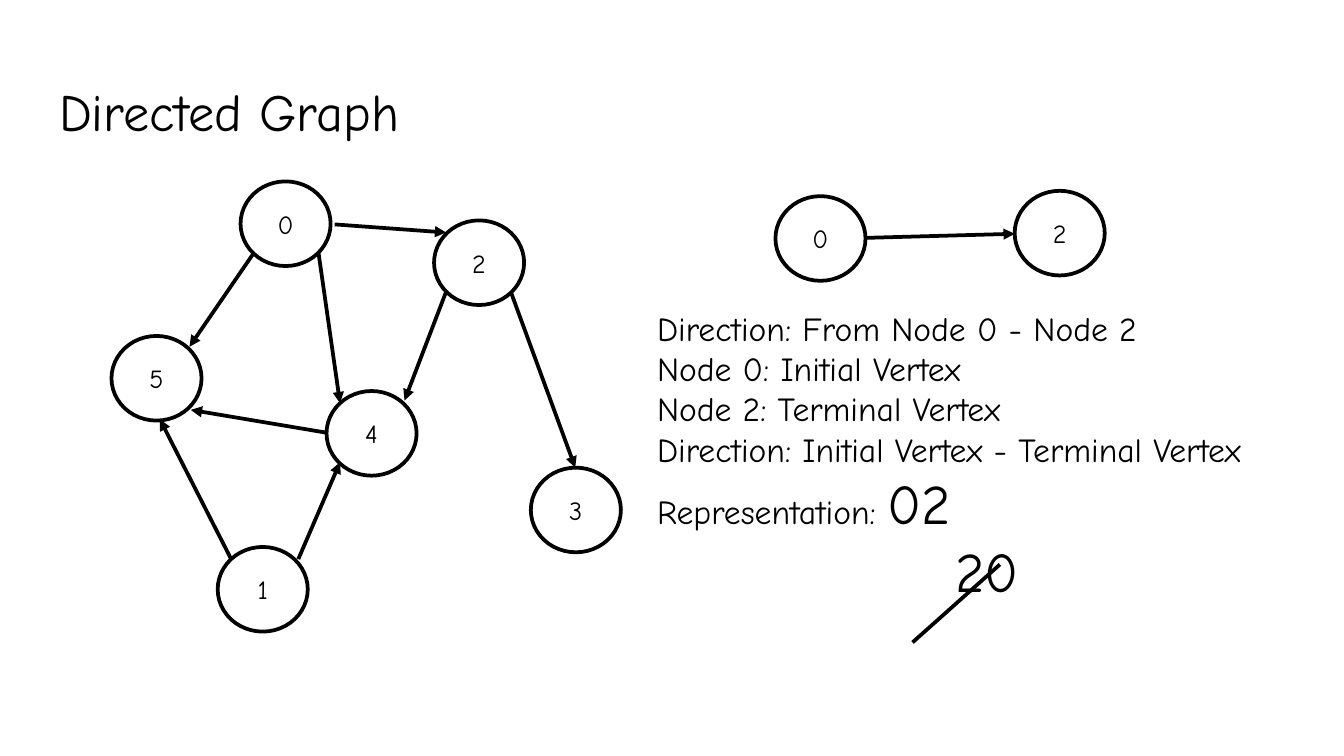
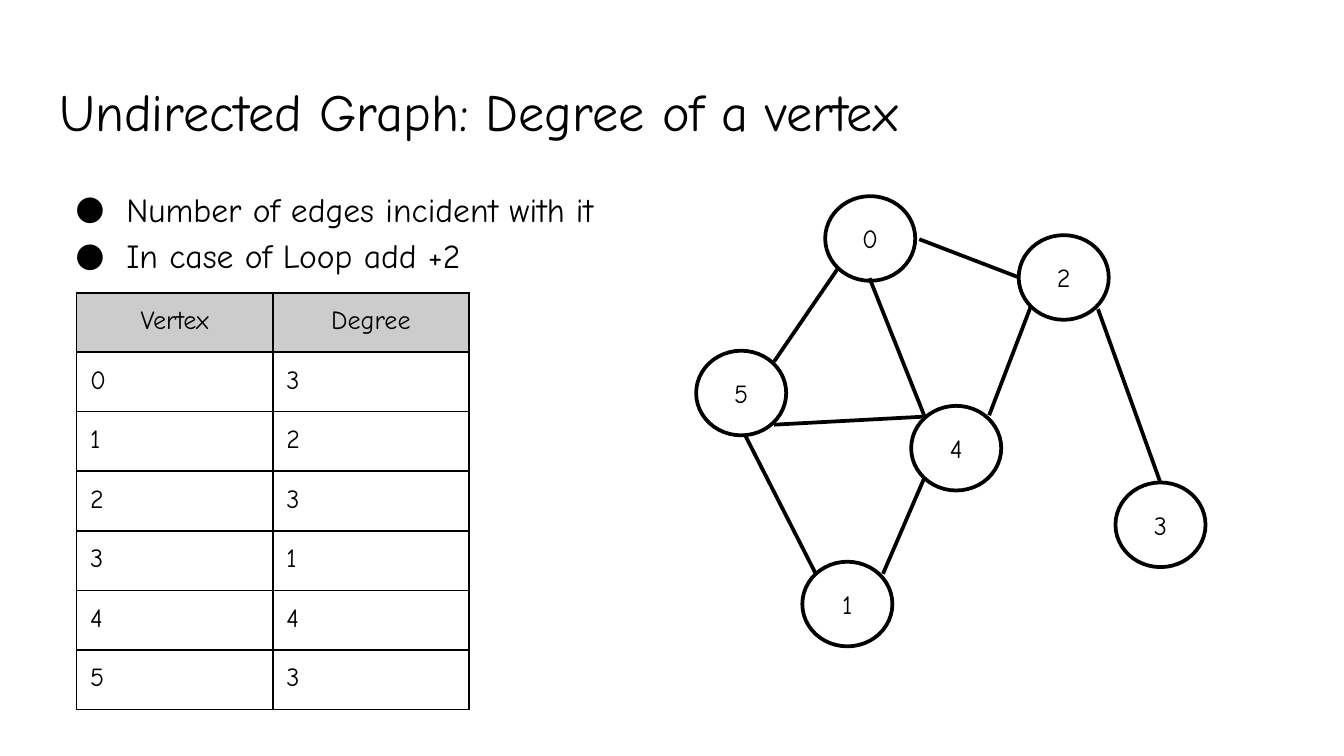
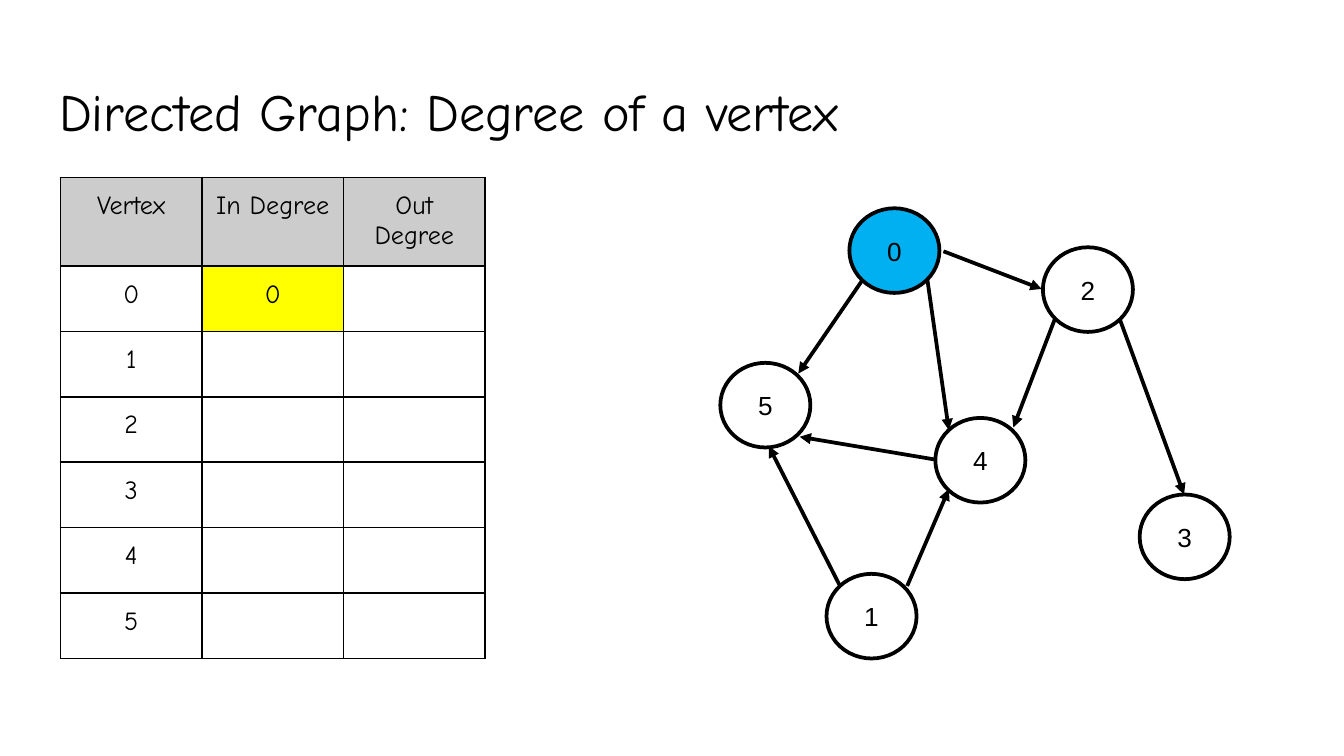
from pptx import Presentation
from pptx.dml.color import RGBColor
from pptx.enum.shapes import MSO_CONNECTOR, MSO_SHAPE
from pptx.enum.text import MSO_ANCHOR, MSO_AUTO_SIZE, PP_ALIGN
from pptx.oxml.ns import qn
from pptx.oxml.xmlchemy import OxmlElement
from pptx.util import Pt

SCALE = 9144  # EMU per px, 100 px to the inch
BLACK = RGBColor(0x00, 0x00, 0x00)
WHITE = RGBColor(0xFF, 0xFF, 0xFF)
GRAY = RGBColor(0xCC, 0xCC, 0xCC)
YELLOW = RGBColor(0xFF, 0xFF, 0x00)
BLUE = RGBColor(0x00, 0xB0, 0xF0)
COMIC, ARIAL = "Comic Neue", "Arial"
LEFT, CENTER = PP_ALIGN.LEFT, PP_ALIGN.CENTER
TOP, MIDDLE = MSO_ANCHOR.TOP, MSO_ANCHOR.MIDDLE
STRAIGHT = MSO_CONNECTOR.STRAIGHT
CIRCLE, RECT = MSO_SHAPE.FLOWCHART_CONNECTOR, MSO_SHAPE.RECTANGLE
INSET = 10
NODE_W, NODE_H = 67, 63

# Graph shared by all slides: node corners, and edges from start to end
NODES = {0: (179, 135), 1: (162, 407), 2: (323, 164),
         3: (395, 348), 4: (243, 291), 5: (83, 250)}
EDGES = {(0, 5): (189, 188, 141, 258), (0, 2): (249, 167, 322, 195),
         (0, 4): (237, 188, 253, 300), (4, 5): (243, 322, 142, 305),
         (1, 5): (172, 416, 119, 312), (1, 4): (222, 416, 253, 344),
         (2, 4): (332, 217, 301, 298), (2, 3): (380, 217, 428, 348)}


def px(*values):
    return [round(value * SCALE) for value in values]


def child(parent, tag, **attrs):
    item = OxmlElement(tag)
    for name, value in attrs.items():
        item.set(name, str(value))
    parent.append(item)
    return item


def inset(target):
    target.margin_left, target.margin_right = px(INSET, INSET)
    target.margin_top, target.margin_bottom = px(INSET, INSET)


def add_run(para, text, size=14, font=COMIC):
    run = para.add_run()
    run.text = text
    run.font.size, run.font.name = Pt(size), font
    run.font.color.rgb = BLACK


def put(frame, text, align=LEFT, bullet=False, spacing=None, **style):
    """Write one paragraph per line and return the last one."""
    for i, line in enumerate(text.split("\n")):
        para = frame.add_paragraph() if i else frame.paragraphs[0]
        if bullet:
            props = para._p.get_or_add_pPr()
            left, hang = px(50, 38)
            props.set("marL", str(left))
            props.set("indent", str(-hang))
            child(props, "a:buFont", typeface=COMIC)
            child(props, "a:buChar", char="●")
        para.alignment = align
        para.space_before = Pt(0)
        if spacing:
            para.line_spacing = spacing
        add_run(para, line, **style)
    return para


def setup(frame, anchor=TOP):
    frame.word_wrap = True
    frame.auto_size = MSO_AUTO_SIZE.NONE
    frame.vertical_anchor = anchor
    inset(frame)
    return frame


def holder(shape, box, text, **style):
    shape.left, shape.top, shape.width, shape.height = px(*box)
    put(setup(shape.text_frame), text, **style)


def add_slide(deck, layout, title):
    slide = deck.slides.add_slide(deck.slide_layouts[layout])
    holder(slide.shapes.title, (34, 49, 932, 63), title, size=28)
    return slide


def node(slide, x, y, label, fill=WHITE, font=COMIC):
    ring = slide.shapes.add_shape(CIRCLE, *px(x, y, NODE_W, NODE_H))
    ring.shadow.inherit = False
    ring.fill.solid()
    ring.fill.fore_color.rgb = fill
    ring.line.color.rgb, ring.line.width = BLACK, Pt(2)
    put(setup(ring.text_frame, MIDDLE), str(label), align=CENTER, font=font)


def edge(slide, x1, y1, x2, y2, arrow=True):
    wire = slide.shapes.add_connector(STRAIGHT, *px(x1, y1, x2, y2))
    wire.line.color.rgb, wire.line.width = BLACK, Pt(2)
    props = wire._element.spPr
    if arrow:
        child(props.find(qn("a:ln")), "a:tailEnd", type="triangle")
    child(props, "a:effectLst")


def graph(slide, dx=0, dy=0, moved=None, arrow=True, fills=None, font=COMIC):
    """Draw the graph shifted by dx, dy; moved replaces single edges."""
    for label, (x, y) in NODES.items():
        fill = (fills or {}).get(label, WHITE)
        node(slide, x + dx, y + dy, label, fill, font)
    for x1, y1, x2, y2 in (EDGES | (moved or {})).values():
        edge(slide, x1 + dx, y1 + dy, x2 + dx, y2 + dy, arrow)


def border(cell):
    props = cell._tc.get_or_add_tcPr()
    for side in ("a:lnL", "a:lnR", "a:lnT", "a:lnB"):
        line = child(props, side, w=Pt(1))
        child(child(line, "a:solidFill"), "a:srgbClr", val=BLACK)


def add_table(slide, box, rows, head, align=LEFT, marks=None):
    count, wide = len(rows), len(rows[0])
    frame = slide.shapes.add_table(count, wide, *px(*box))
    table = frame.table
    table.first_row = table.horz_banding = False
    for col in table.columns:
        col.width = frame.width // wide
    for r, row in enumerate(rows):
        tall = (box[3] - head) / (count - 1) if r else head
        table.rows[r].height = px(tall)[0]
        for c, text in enumerate(row):
            cell = table.cell(r, c)
            inset(cell)
            border(cell)
            fill = (marks or {}).get((r, c)) if r else GRAY
            if fill:
                cell.fill.solid()
                cell.fill.fore_color.rgb = fill
            else:
                cell.fill.background()
            put(cell.text_frame, str(text), align=align if r else CENTER)


def directed(deck):
    slide = add_slide(deck, 5, "Directed Graph")
    graph(slide, moved={(0, 2): (249, 167, 332, 173)})

    # Single edge with its terms
    node(slide, 577, 146, 0)
    node(slide, 755, 142, 2)
    edge(slide, 645, 177, 755, 174)
    note = slide.shapes.add_shape(RECT, *px(479, 219, 498, 276))
    note.shadow.inherit = False
    note.fill.solid()
    note.fill.fore_color.rgb = WHITE
    note.line.fill.background()
    frame = setup(note.text_frame)
    last = put(frame, "Direction: From Node 0 - Node 2\n"
               "Node 0: Initial Vertex\n"
               "Node 2: Terminal Vertex\n"
               "Direction: Initial Vertex - Terminal Vertex\n"
               "Representation: ", size=18)
    add_run(last, "02", size=30)

    # Wrong order, struck out
    wrong = frame.add_paragraph()
    wrong.alignment = LEFT
    wrong._p.get_or_add_pPr().set("marL", str(px(222)[0]))
    add_run(wrong, "20", size=30)
    edge(slide, 744, 420, 679, 478, arrow=False)


def undirected(deck):
    slide = add_slide(deck, 1, "Undirected Graph: Degree of a vertex")
    holder(slide.placeholders[1], (34, 126, 517, 82),
           "Number of edges incident with it\nIn case of Loop add +2",
           size=18, bullet=True, spacing=1.15)
    rows = [("Vertex", "Degree"), *enumerate((3, 2, 3, 1, 4, 3))]
    add_table(slide, (57, 218, 292, 310), rows, head=44)
    graph(slide, 435, 11, arrow=False,
          moved={(0, 4): (212, 196, 253, 299), (4, 5): (253, 299, 141, 305),
                 (2, 3): (382, 219, 428, 347)})


def degrees(deck):
    slide = add_slide(deck, 5, "Directed Graph: Degree of a vertex")
    graph(slide, 453, 20, fills={0: BLUE}, font=ARIAL)
    rows = [("Vertex", "In Degree", "Out Degree"), (0, 0, "")]
    rows += [(label, "", "") for label in range(1, 6)]
    add_table(slide, (45, 132, 316, 358), rows, head=66, align=CENTER,
              marks={(1, 1): YELLOW})


def main():
    deck = Presentation()
    deck.slide_width, deck.slide_height = px(1000, 562.5)
    directed(deck)
    undirected(deck)
    degrees(deck)
    deck.save("out.pptx")


if __name__ == "__main__":
    main()
